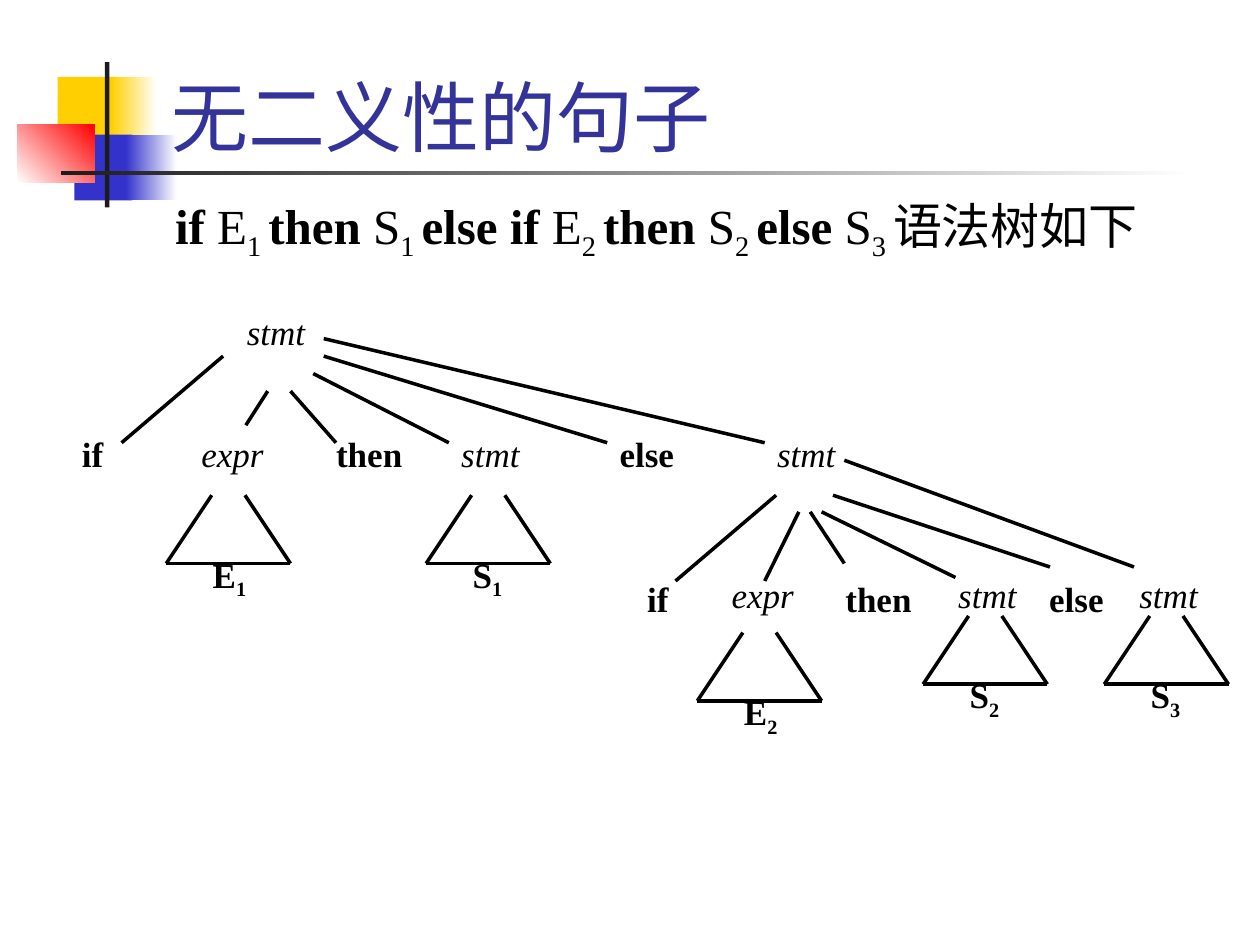
from lxml.etree import SubElement
from pptx import Presentation
from pptx.dml.color import RGBColor
from pptx.enum.shapes import MSO_CONNECTOR, MSO_SHAPE
from pptx.enum.text import MSO_ANCHOR, PP_ALIGN
from pptx.oxml.ns import qn
from pptx.util import Pt

BLACK = RGBColor(0x00, 0x00, 0x00)
WHITE = RGBColor(0xFF, 0xFF, 0xFF)
YELLOW = RGBColor(0xFF, 0xCF, 0x01)
BLUE = RGBColor(0x33, 0x33, 0xCC)
RED = RGBColor(0xFF, 0x00, 0x00)
CHARCOAL = RGBColor(0x1C, 0x1C, 0x1C)
INDIGO = RGBColor(0x33, 0x33, 0x99)


def add_text(shapes, box, runs, size, color=BLACK, italic=None,
             align=PP_ALIGN.LEFT, anchor=MSO_ANCHOR.TOP):
    """Add a one-paragraph text box; runs are (text, bold, subscript)."""
    frame = shapes.add_textbox(*map(Pt, box)).text_frame
    frame.word_wrap = True
    frame.vertical_anchor = anchor
    paragraph = frame.paragraphs[0]
    paragraph.alignment = align
    paragraph.font.name = "Times New Roman"
    paragraph.font.size = Pt(size)
    paragraph.font.color.rgb = color
    paragraph.font.italic = italic
    for words, bold, subscript in runs:
        run = paragraph.add_run()
        run.text = words
        run.font.name = "Times New Roman"
        run.font.size = Pt(size)
        run.font.color.rgb = color
        run.font.bold = bold
        run.font.italic = italic
        if subscript:
            run._r.get_or_add_rPr().set("baseline", "-25000")


def add_line(shapes, x1, y1, x2, y2):
    line = shapes.add_connector(MSO_CONNECTOR.STRAIGHT, Pt(x1), Pt(y1), Pt(x2), Pt(y2))
    line.line.color.rgb = BLACK
    line.line.width = Pt(2)
    SubElement(line._element.spPr, qn("a:effectLst"))


prs = Presentation()
prs.slide_width, prs.slide_height = Pt(720), Pt(540)
slide = prs.slides.add_slide(prs.slide_layouts[6])

# Corner ornament: box, start colour, end colour (None for solid), angle
ornament = [
    ((33, 44, 34.5, 37.5), YELLOW, None, 0),
    ((63.5, 44, 26, 37.5), YELLOW, WHITE, 0),
    ((42.5, 77, 33, 37.5), BLUE, None, 0),
    ((72, 77, 29, 37.5), BLUE, WHITE, 0),
    ((10, 71, 44, 33.5), WHITE, RED, 45),
    ((60, 35.5, 2.5, 83), CHARCOAL, None, 0),
    ((34.75, 98, 648, 2.25), CHARCOAL, WHITE, 0),
]
for box, start, end, angle in ornament:
    block = slide.shapes.add_shape(MSO_SHAPE.RECTANGLE, *map(Pt, box))
    block.shadow.inherit = False
    block.line.fill.background()
    if end is None:
        block.fill.solid()
        block.fill.fore_color.rgb = start
    else:
        block.fill.gradient()
        block.fill.gradient_angle = angle
        for stop, color, position in zip(block.fill.gradient_stops, (start, end), (0, 1)):
            stop.color.rgb = color
            stop.position = position

add_text(slide.shapes, (91, 6, 613, 90), [("无二义性的句子", None, False)], 44,
         color=INDIGO, anchor=MSO_ANCHOR.BOTTOM)

sentence = []
for keyword, symbol, index in [("if", "E", 1), ("then", "S", 1), ("else if", "E", 2),
                               ("then", "S", 2), ("else", "S", 3)]:
    sentence += [(keyword, True, False), (f" {symbol}", False, False),
                 (f"{index} ", False, True)]
sentence.append(("语法树如下", False, False))
add_text(slide.shapes, (93, 108, 612, 372), sentence, 28)

# Tree nodes: left, top, word
nodes = [
    (134, 174, "stmt"),
    (24, 243.5, "if"), (108, 243.5, "expr"), (185, 243.5, "then"),
    (256.5, 243.5, "stmt"), (347, 243.5, "else"), (437, 243.5, "stmt"),
    (347, 326.5, "if"), (411, 324, "expr"), (476, 326.5, "then"),
    (540.5, 324, "stmt"), (592.5, 326.5, "else"), (644, 324, "stmt"),
]
for left, top, word in nodes:
    nonterminal = word in ("stmt", "expr")
    add_text(slide.shapes, (left, top, 58, 32), [(word, not nonterminal, False)], 20,
             italic=nonterminal,
             align=PP_ALIGN.CENTER if word == "if" else PP_ALIGN.LEFT)

# Subtrees: left, top, symbol, index
subtrees = [
    (95, 283, "E", "1"), (243.5, 283, "S", "1"), (398.5, 361.5, "E", "2"),
    (527.5, 352, "S", "2"), (631, 352, "S", "3"),
]
for left, top, symbol, index in subtrees:
    subtree = slide.shapes.add_group_shape().shapes
    right, bottom = left + 71, top + 39
    add_line(subtree, left + 26, top, left, bottom)
    add_line(subtree, right - 26, top, right, bottom)
    add_line(subtree, left, bottom, right, bottom)
    add_text(subtree, (left + 19.5, top + 29.5, 39, 34.5),
             [(symbol, True, False), (index, True, True)], 20)

branches = [
    # from the root
    (127.5, 203.5, 69.5, 253), (153, 223.5, 140.5, 243), (166, 223.5, 192, 253),
    (179, 213.5, 256.5, 253), (185, 203.5, 347, 253), (185, 193.5, 437, 253),
    # from the nested stmt
    (443.5, 283, 386, 332), (456.5, 292.5, 437, 332), (463, 292.5, 482.5, 322),
    (469.5, 292.5, 546, 330), (476, 283, 600, 324), (482.5, 263, 648, 324),
]
for branch in branches:
    add_line(slide.shapes, *branch)

prs.save("out.pptx")
